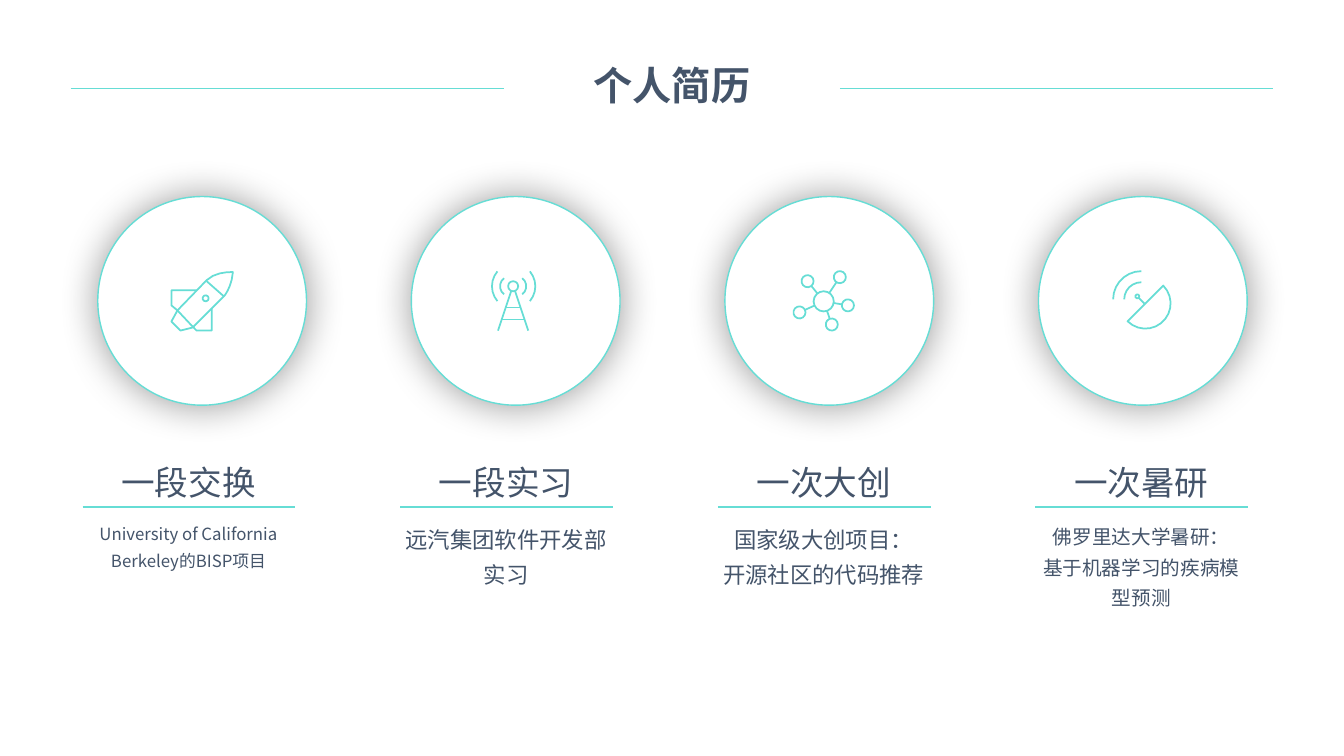
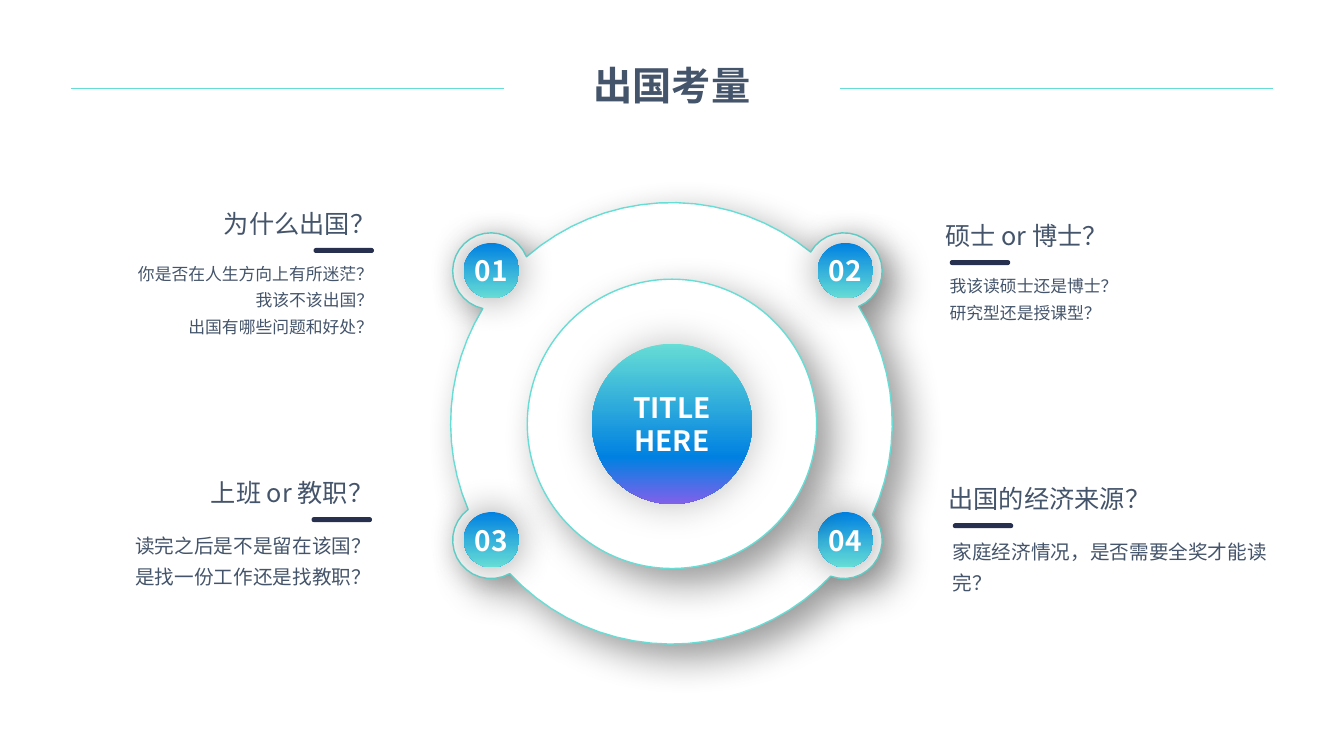
import math
from dataclasses import dataclass

from lxml import etree
from pptx import Presentation
from pptx.dml.color import RGBColor
from pptx.enum.shapes import MSO_CONNECTOR, MSO_SHAPE
from pptx.enum.text import PP_ALIGN
from pptx.oxml.ns import qn
from pptx.util import Inches, Pt

ELLIPSE, ROUNDED = MSO_SHAPE.OVAL, MSO_SHAPE.ROUNDED_RECTANGLE
STRAIGHT = MSO_CONNECTOR.STRAIGHT
LEFT, CENTER, RIGHT = PP_ALIGN.LEFT, PP_ALIGN.CENTER, PP_ALIGN.RIGHT
FONT = "Noto Sans CJK SC"
INK, TEAL, BLUE, PURPLE = "44546A", "66DDD5", "0081E1", "8160EB"
WHITE, NAVY, BLACK = "FFFFFF", "27304F", "000000"

Point = tuple[float, float]


@dataclass
class Stroke:
    points: list[Point]
    closed: bool = False


@dataclass
class Shadow:
    opacity: int = 40
    blur: float = 28
    distance: float = 0


@dataclass
class Stage:
    heading: str
    detail: str
    size: int
    icon: list[Stroke]


@dataclass
class Callout:
    left: float
    top: float
    heading: str
    detail: str
    size: int
    align: PP_ALIGN


# Geometry
def arc(x: float, y: float, radius: float, start: float, end: float) -> list[Point]:
    """Points on an arc, just close enough together to look round."""
    widest = math.degrees(2 * math.acos(1 - 0.002 / radius))
    steps = math.ceil(abs(end - start) / widest)
    angles = [math.radians(start + (end - start) * i / steps) for i in range(steps + 1)]
    return [(x + radius * math.cos(a), y + radius * math.sin(a)) for a in angles]


def ring(x: float, y: float, radius: float) -> Stroke:
    return Stroke(arc(x, y, radius, 0, 360)[:-1], True)


def curve(a: Point, b: Point, c: Point, d: Point) -> list[Point]:
    def blend(t: float, axis: int) -> float:
        u = 1 - t
        return (u ** 3 * a[axis] + 3 * u * u * t * b[axis]
                + 3 * u * t * t * c[axis] + t ** 3 * d[axis])
    return [(blend(i / 5, 0), blend(i / 5, 1)) for i in range(6)]


def rocket() -> list[Stroke]:
    nose = curve((2.31, 2.7), (2.3, 2.84), (2.23, 2.93), (2.23, 2.93))
    back = curve((2.05, 2.78), (2.14, 2.69), (2.31, 2.7), (2.31, 2.7))
    hull = nose + [(1.91, 3.25), (1.79, 3.28), (1.7, 3.19), (1.76, 3.08)] + back[:-1]
    return [
        Stroke(hull, True),
        Stroke([(2.05, 2.79), (2.22, 2.94)]),
        Stroke([(1.95, 2.88), (1.7, 2.88), (1.7, 3.03), (1.76, 3.08), (1.91, 3.24),
                (1.95, 3.28), (2.1, 3.28), (2.1, 3.06)]),
        ring(2.04, 2.96, 0.03),
    ]


def antenna() -> list[Stroke]:
    legs = [[(4.94, 3.28), (5.07, 2.89)], [(5.24, 3.28), (5.11, 2.89)],
            [(5.02, 3.05), (5.16, 3.05)], [(4.98, 3.17), (5.2, 3.17)]]
    waves = [arc(5.11, 2.84, 0.23, 140, 220), arc(5.06, 2.84, 0.1, 127, 233),
             arc(5.08, 2.84, 0.23, -40, 40), arc(5.12, 2.84, 0.1, -53, 53)]
    return [ring(5.09, 2.84, 0.05)] + [Stroke(points) for points in legs + waves]


def molecule() -> list[Stroke]:
    x, y, core, atom = 8.17, 2.99, 0.1, 0.06
    strokes = [ring(x, y, core)]
    for ax, ay in [(8.33, 2.75), (8.01, 2.79), (7.93, 3.1), (8.25, 3.22), (8.41, 3.03)]:
        length = math.hypot(ax - x, ay - y)
        ux, uy = (ax - x) / length, (ay - y) / length
        bond = [(x + ux * core, y + uy * core), (ax - ux * atom, ay - uy * atom)]
        strokes += [ring(ax, ay, atom), Stroke(bond)]
    return strokes


def dish() -> list[Stroke]:
    return [Stroke([(11.35, 3.01), (11.29, 2.95)]), ring(11.28, 2.94, 0.02),
            Stroke(arc(11.32, 2.97, 0.17, 180, 270)),
            Stroke(arc(11.32, 2.97, 0.28, 180, 270)),
            Stroke(arc(11.36, 3.01, 0.25, -45, 135), True)]


def lobed_disc(x: float, y: float, radius: float, lobes: list[Point], lobe: float) -> Stroke:
    """Outline of a disc joined with smaller discs on its rim, in clockwise order."""
    joints = []
    for lx, ly in lobes:
        far = math.hypot(lx - x, ly - y)
        heading = math.degrees(math.atan2(ly - y, lx - x)) % 360
        rim = math.degrees(math.acos((radius**2 + far**2 - lobe**2) / (2 * radius * far)))
        cut = math.degrees(math.acos((far**2 + lobe**2 - radius**2) / (2 * far * lobe)))
        joints.append((lx, ly, heading, rim, 180 - cut))
    points = []
    for i, (lx, ly, heading, rim, spread) in enumerate(joints):
        following = joints[(i + 1) % len(joints)]
        end = following[2] - following[3] + (360 if i == len(joints) - 1 else 0)
        points += arc(lx, ly, lobe, heading - spread, heading + spread)
        points += arc(x, y, radius, heading + rim, end)[1:-1]
    return Stroke(points, True)


# Drawing
def color(value: str) -> RGBColor:
    return RGBColor.from_string(value)


def add_color(parent, value: str):
    return etree.SubElement(parent, qn("a:srgbClr"), val=value)


def style(shape, fill: str | None, line: str | None = None, width: float = 1,
          shadow: Shadow | None = None) -> None:
    if fill:
        shape.fill.solid()
        shape.fill.fore_color.rgb = color(fill)
    else:
        shape.fill.background()
    if line:
        shape.line.color.rgb = color(line)
        shape.line.width = Pt(width)
    else:
        shape.line.fill.background()
    shape.shadow.inherit = False
    if shadow:
        effects = shape._element.spPr.find(qn("a:effectLst"))
        outer = etree.SubElement(effects, qn("a:outerShdw"), blurRad=str(Pt(shadow.blur)),
                                 dist=str(Pt(shadow.distance)), dir="2700000",
                                 algn="ctr", rotWithShape="0")
        etree.SubElement(add_color(outer, BLACK), qn("a:alpha"), val=str(shadow.opacity * 1000))


def add_shape(page, kind, left: float, top: float, width: float, height: float):
    return page.shapes.add_shape(kind, Inches(left), Inches(top), Inches(width), Inches(height))


def add_gradient_disc(page, left: float, top: float, size: float,
                      stops: list[tuple[int, str]], shadow: Shadow) -> None:
    disc = add_shape(page, ELLIPSE, left, top, size, size)
    style(disc, WHITE, shadow=shadow)
    disc.fill.gradient()
    gradient = disc._element.spPr.find(qn("a:gradFill"))
    for child in list(gradient):
        gradient.remove(child)
    stop_list = etree.SubElement(gradient, qn("a:gsLst"))
    for position, value in stops:
        add_color(etree.SubElement(stop_list, qn("a:gs"), pos=str(position * 1000)), value)
    etree.SubElement(gradient, qn("a:lin"), ang="5400000", scaled="0")


def add_outline(page, strokes: list[Stroke]):
    scaled = [[(Inches(x), Inches(y)) for x, y in stroke.points] for stroke in strokes]
    builder = page.shapes.build_freeform(*scaled[0][0])
    for i, (stroke, points) in enumerate(zip(strokes, scaled)):
        if i:
            builder.move_to(*points[0])
        builder.add_line_segments(points[1:], close=stroke.closed)
    return builder.convert_to_shape()


def add_rule(page, left: float, right: float, top: float, width: float) -> None:
    rule = page.shapes.add_connector(STRAIGHT, Inches(left), Inches(top),
                                     Inches(right), Inches(top))
    rule.line.color.rgb = color(TEAL)
    rule.line.width = Pt(width)
    etree.SubElement(rule._element.spPr, qn("a:effectLst"))


def add_text(page, left: float, top: float, width: float, height: float, text: str, size: int,
             align: PP_ALIGN = CENTER, ink: str = INK, bold: bool = False,
             spacing: float = 1.0, wrap: bool = True) -> None:
    box = page.shapes.add_textbox(Inches(left), Inches(top), Inches(width), Inches(height))
    box.text_frame.word_wrap = wrap
    box.text_frame.text = text
    for para in box.text_frame.paragraphs:
        para.alignment = align
        para.line_spacing = spacing
        for span in para.runs:
            span.font.name = FONT
            span.font.size = Pt(size)
            span.font.bold = bold
            span.font.color.rgb = color(ink)
            etree.SubElement(span.font._element, qn("a:ea"), typeface=FONT)


def add_page(deck, title: str):
    page = deck.slides.add_slide(deck.slide_layouts[6])
    for left in (0.7, 8.33):
        add_rule(page, left, left + 4.3, 0.88, 0.5)
    add_text(page, 5, 0.56, 3.33, 0.57, title, 28, bold=True)
    return page


# Slides
def build_resume(deck) -> None:
    page = add_page(deck, "个人简历")
    stages = [
        Stage("一段交换", "University of California Berkeley的BISP项目", 12, rocket()),
        Stage("一段实习", "远汽集团软件开发部实习", 16, antenna()),
        Stage("一次大创", "国家级大创项目：\n开源社区的代码推荐", 16, molecule()),
        Stage("一次暑研", "佛罗里达大学暑研：\n基于机器学习的疾病模型预测", 14, dish()),
    ]
    for i, stage in enumerate(stages):
        left = 0.72 + 3.15 * i
        add_text(page, left, 4.53, 2.3, 0.5, stage.heading, 24)
        add_text(page, left, 5.09, 2.3, 0.77, stage.detail, stage.size, spacing=1.3)
        add_rule(page, left + 0.1, left + 2.21, 5.03, 1)
        disc = add_shape(page, ELLIPSE, 0.97 + 3.11 * i, 1.95, 2.07, 2.07)
        style(disc, WHITE, TEAL, shadow=Shadow())
        style(add_outline(page, stage.icon), None, TEAL, 1.25)


def add_callout(page, callout: Callout) -> None:
    detail_shift, bar_shift = (-1.04, 1.59) if callout.align == RIGHT else (0.04, 0.14)
    left, top = callout.left, callout.top
    add_text(page, left, top, 2.3, 0.4, callout.heading, 18, callout.align)
    add_text(page, left + detail_shift, top + 0.49, 3.32, 0.68, callout.detail,
             callout.size, callout.align, spacing=1.3)
    bar = add_shape(page, ROUNDED, left + bar_shift, top + 0.44, 0.6, 0.05)
    bar.adjustments[0] = 0.5
    style(bar, NAVY)


def build_considerations(deck) -> None:
    page = add_page(deck, "出国考量")
    cast = Shadow(distance=14)

    # Hub with four numbered lobes
    lobes = [(8.37, 5.36), (4.87, 5.36), (4.87, 2.69), (8.37, 2.69)]
    style(add_outline(page, [lobed_disc(6.66, 4.2, 2.19, lobes, 0.38)]), WHITE, TEAL, shadow=cast)
    badges = [(4.6, 2.41), (8.11, 2.41), (4.6, 5.08), (8.11, 5.08)]
    for left, top in badges:
        add_gradient_disc(page, left, top, 0.55, [(0, BLUE), (100, TEAL)], Shadow())
    style(add_shape(page, ELLIPSE, 5.23, 2.77, 2.87, 2.87), WHITE, TEAL, shadow=cast)
    for number, (left, top) in enumerate(badges, 1):
        add_text(page, left, top + 0.06, 0.55, 0.44, f"{number:02}", 20,
                 ink=WHITE, bold=True, wrap=False)
    add_gradient_disc(page, 5.87, 3.41, 1.59, [(0, TEAL), (71, BLUE), (100, PURPLE)],
                      Shadow(25, 29))
    add_text(page, 6.05, 3.82, 1.23, 0.77, "TITLE\nHERE", 20, ink=WHITE, bold=True)

    # Questions on both sides
    for callout in [
        Callout(9.28, 2.14, "硕士 or 博士？", "我该读硕士还是博士？\n研究型还是授课型？", 12, LEFT),
        Callout(9.31, 4.75, "出国的经济来源？", "家庭经济情况，是否需要全奖才能读完？", 14, LEFT),
        Callout(1.52, 2.02, "为什么出国？",
                "你是否在人生方向上有所迷茫？\n我该不该出国？\n出国有哪些问题和好处？", 12, RIGHT),
        Callout(1.5, 4.69, "上班 or 教职？",
                "读完之后是不是留在该国？\n是找一份工作还是找教职？", 14, RIGHT),
    ]:
        add_callout(page, callout)


def main() -> None:
    deck = Presentation()
    deck.slide_width, deck.slide_height = Inches(13.33), Inches(7.5)
    build_resume(deck)
    build_considerations(deck)
    deck.save("out.pptx")


if __name__ == "__main__":
    main()
